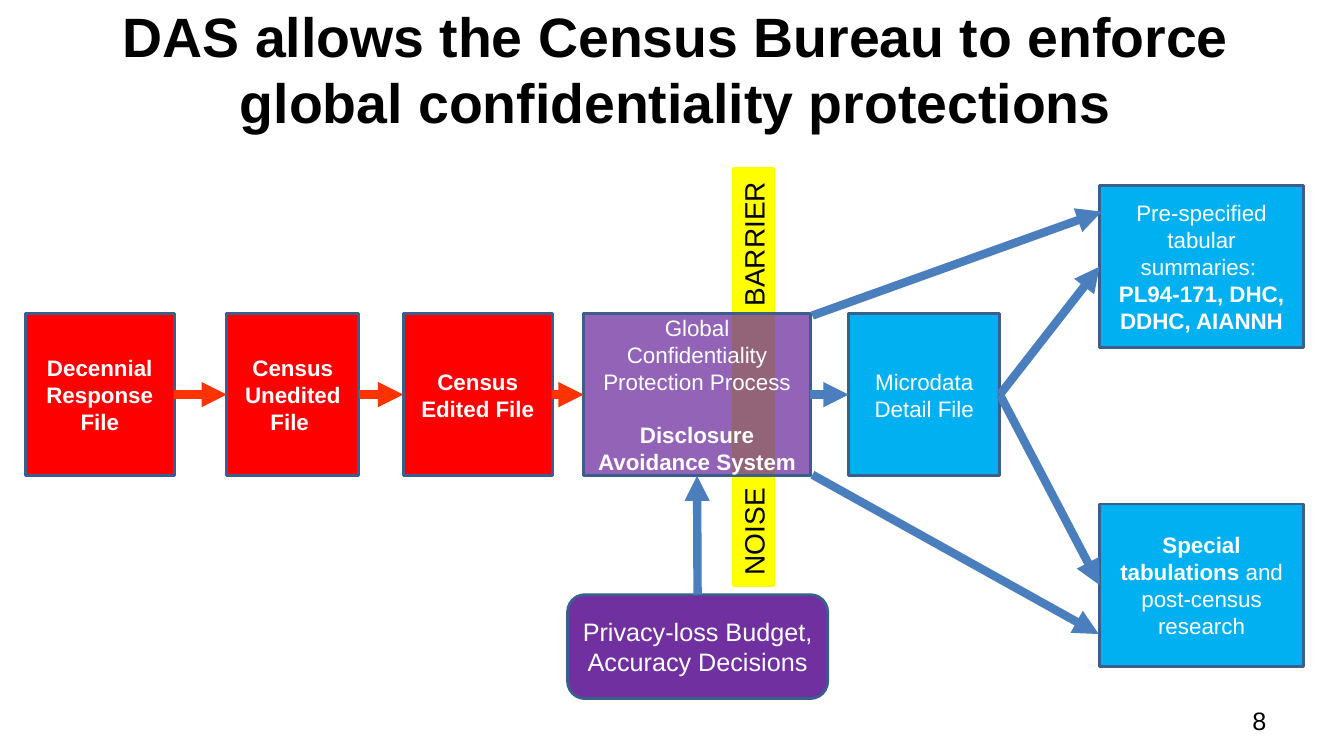
import pptx
import pptx.util
import pptx.dml.color
import pptx.enum.shapes
import pptx.enum.text
import pptx.oxml
import pptx.oxml.ns
from pptx.util import Pt

SHAPE = pptx.enum.shapes.MSO_SHAPE
ALIGN = pptx.enum.text.PP_ALIGN
ANCHOR = pptx.enum.text.MSO_ANCHOR
TOP, LEFT, BOTTOM, RIGHT = range(4)

THEME = {
    "font": "Arial",
    "red": "FF0000", "blue": "00B0F0", "purple": "7030A0", "yellow": "FFFF00",
    "outline": "3A5F8C", "red_arrow": "FF3300", "blue_arrow": "4B7EBC",
    "dark": "000000", "light": "FFFFFF",
    "title": 39.6, "barrier": 20, "large": 18, "body": 16,
    "outline_width": 2, "arrow_width": 6,
}

# Content: each paragraph is a list of (text, bold) runs
TITLE = [[("DAS allows the Census Bureau to enforce global confidentiality protections", True)]]
PAGE_NUMBER = [[("8", False)]]
BARRIER = [[("NOISE\tBARRIER", False)]]

ROW_TOP, BOX_HEIGHT = 223.9, 115.9
OUTPUT_LEFT, OUTPUT_WIDTH = 785.5, 145.5

# name: (left, top, width, height, fill, size, paragraphs)
BOXES = {
    "response": (18, ROW_TOP, 106.5, BOX_HEIGHT, "red", "body",
                 [[("Decennial Response File", True)]]),
    "unedited": (162, ROW_TOP, 94.3, BOX_HEIGHT, "red", "body",
                 [[("Census Unedited File ", True)]]),
    "edited": (288, ROW_TOP, 106.5, BOX_HEIGHT, "red", "body",
               [[("Census Edited File", True)]]),
    "microdata": (606.2, ROW_TOP, 108, BOX_HEIGHT, "blue", "body",
                  [[("Microdata Detail File", False)]]),
    "summaries": (OUTPUT_LEFT, 132.5, OUTPUT_WIDTH, BOX_HEIGHT, "blue", "body",
                  [[("Pre-specified tabular summaries: \n", False),
                    ("PL94-171, DHC, DDHC, AIANNH", True)]]),
    "special": (OUTPUT_LEFT, 360, OUTPUT_WIDTH, BOX_HEIGHT, "blue", "body",
                [[("Special tabulations ", True), ("and post-census research", False)]]),
    "das": (416.9, ROW_TOP, 162, BOX_HEIGHT, "purple", "body",
            [[("Global Confidentiality Protection Process", False)],
             [("Disclosure Avoidance System", True)]]),
    "budget": (405.4, 424.8, 185.8, 74.2, "purple", "large",
               [[("Privacy-loss Budget,", False)], [("Accuracy Decisions", False)]]),
}
ROUNDED, TRANSLUCENT, OPACITY = "budget", "das", 75
DAS_PARAGRAPH_GAP = 18.4

# (from box, side, to box, side, colour)
FLOWS = [
    ("response", RIGHT, "unedited", LEFT, "red_arrow"),
    ("unedited", RIGHT, "edited", LEFT, "red_arrow"),
    ("edited", RIGHT, "das", LEFT, "red_arrow"),
    ("das", RIGHT, "microdata", LEFT, "blue_arrow"),
    ("microdata", RIGHT, "summaries", LEFT, "blue_arrow"),
    ("microdata", RIGHT, "special", LEFT, "blue_arrow"),
    ("budget", TOP, "das", BOTTOM, "blue_arrow"),
]
# Arrows from the corners of the process box: from x, y, to x, y
CORNER_ARROWS = [(580.3, 225.4, 787, 151.2), (580.3, 339.1, 784.8, 452.9)]

presentation = pptx.Presentation()
presentation.slide_width, presentation.slide_height = Pt(960), Pt(540)
slide = presentation.slides.add_slide(presentation.slide_layouts[6])


def colour(name):
    return pptx.dml.color.RGBColor.from_string(THEME[name])


def add_xml(parent, tag, **attributes):
    element = pptx.oxml.parse_xml(f"<a:{tag} {pptx.oxml.ns.nsdecls('a')}/>")
    for key, value in attributes.items():
        element.set(key, str(value))
    parent.append(element)
    return element


def write(shape, paragraphs, size, text_colour, align=ALIGN.CENTER, anchor=ANCHOR.MIDDLE, gap=0):
    frame = shape.text_frame
    frame.word_wrap = True
    frame.vertical_anchor = anchor
    for index, runs in enumerate(paragraphs):
        paragraph = frame.add_paragraph() if index else frame.paragraphs[0]
        paragraph.alignment = align
        if index and gap:
            paragraph.space_before = Pt(gap)
        for text, bold in runs:
            run = paragraph.add_run()
            run.text = text.rstrip("\n")
            run.font.name, run.font.size, run.font.bold = THEME["font"], Pt(THEME[size]), bold
            run.font.color.rgb = colour(text_colour)
            if text.endswith("\n"):
                paragraph.add_line_break()


def add_box(kind, left, top, width, height, fill, outline):
    shape = slide.shapes.add_shape(kind, Pt(left), Pt(top), Pt(width), Pt(height))
    shape.shadow.inherit = False
    shape.fill.solid()
    shape.fill.fore_color.rgb = colour(fill)
    shape.line.color.rgb = colour(outline)
    shape.line.width = Pt(THEME["outline_width"])
    return shape


def add_arrow(line_colour, start_x=0, start_y=0, end_x=0, end_y=0):
    arrow = slide.shapes.add_connector(
        pptx.enum.shapes.MSO_CONNECTOR.STRAIGHT, Pt(start_x), Pt(start_y), Pt(end_x), Pt(end_y))
    arrow.line.color.rgb = colour(line_colour)
    arrow.line.width = Pt(THEME["arrow_width"])
    add_xml(arrow.line._get_or_add_ln(), "tailEnd", type="triangle")
    add_xml(arrow._element.spPr, "effectLst")
    return arrow


# Title and page number
title = slide.shapes.add_textbox(Pt(23), Pt(14.4), Pt(919.4), Pt(69.1))
write(title, TITLE, "title", "dark")
page_number = slide.shapes.add_textbox(Pt(761.8), Pt(500.4), Pt(149.8), Pt(28.8))
write(page_number, PAGE_NUMBER, "large", "dark", ALIGN.RIGHT, ANCHOR.TOP)

# Noise barrier, turned to read upwards, with a tab across the process box
barrier = add_box(SHAPE.RECTANGLE, 389.5, 254.9, 297.4, 28.8, "yellow", "yellow")
barrier.rotation = 270
barrier_properties = barrier.text_frame.paragraphs[0]._p.get_or_add_pPr()
add_xml(add_xml(barrier_properties, "tabLst"), "tab", pos=Pt(192), algn="l")
write(barrier, BARRIER, "barrier", "dark", ALIGN.LEFT)

# Boxes
shapes = {}
for name, (left, top, width, height, fill, size, paragraphs) in BOXES.items():
    kind = SHAPE.ROUNDED_RECTANGLE if name == ROUNDED else SHAPE.RECTANGLE
    shapes[name] = add_box(kind, left, top, width, height, fill, "outline")
    write(shapes[name], paragraphs, size, "light",
          gap=DAS_PARAGRAPH_GAP if name == "das" else 0)
fill_colour = shapes[TRANSLUCENT]._element.spPr.find(".//" + pptx.oxml.ns.qn("a:srgbClr"))
add_xml(fill_colour, "alpha", val=OPACITY * 1000)

# Arrows
for source, source_side, target, target_side, line_colour in FLOWS:
    arrow = add_arrow(line_colour)
    arrow.begin_connect(shapes[source], source_side)
    arrow.end_connect(shapes[target], target_side)
for ends in CORNER_ARROWS:
    add_arrow("blue_arrow", *ends)

presentation.save("out.pptx")
